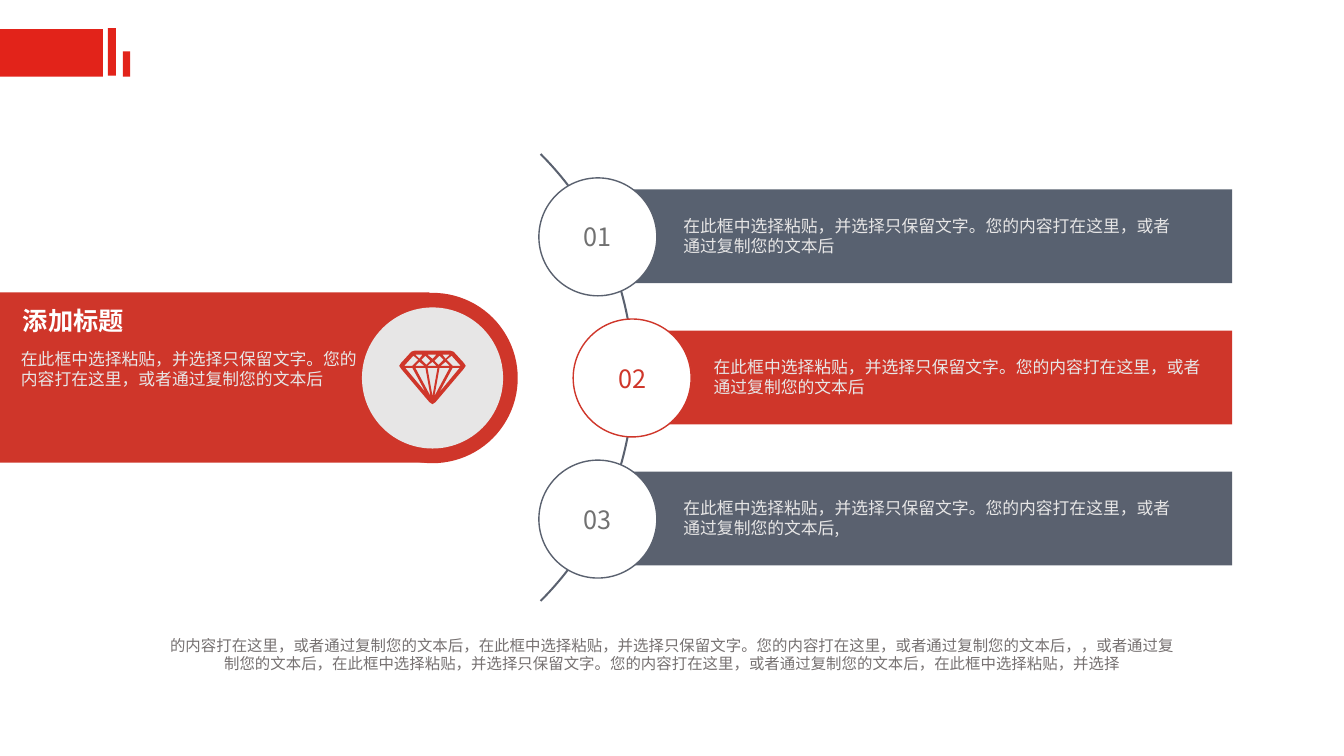
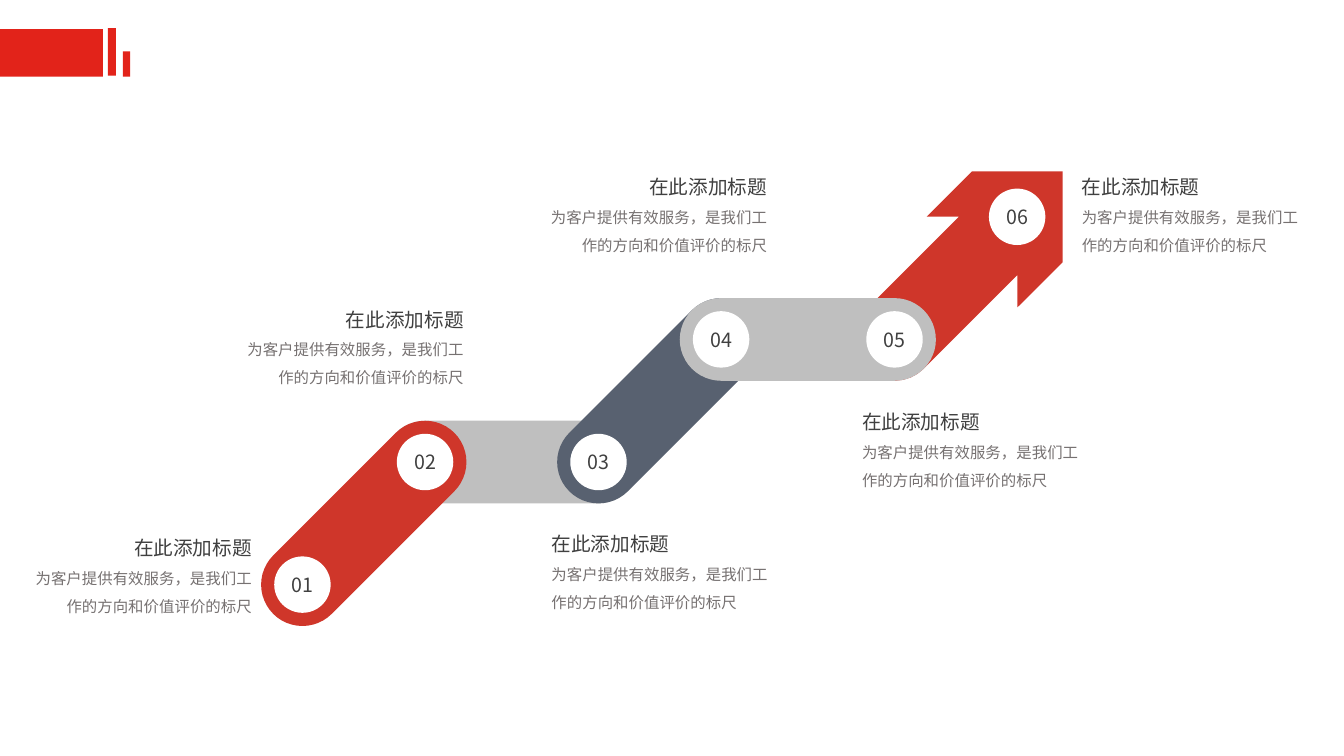
from math import cos, pi, sin, sqrt

from lxml import etree
from pptx import Presentation
from pptx.dml.color import RGBColor
from pptx.enum import shapes, text
from pptx.oxml import ns
from pptx.util import Inches, Pt

BRAND_RED = RGBColor(0xE2, 0x23, 0x1A)
RED = RGBColor(0xCF, 0x36, 0x2A)
SLATE = RGBColor(0x5A, 0x61, 0x6F)
STEEL = RGBColor(0x58, 0x61, 0x70)
SILVER = RGBColor(0xBF, 0xBF, 0xBF)
PALE = RGBColor(0xE7, 0xE6, 0xE6)
WHITE = RGBColor(0xFF, 0xFF, 0xFF)
INK = RGBColor(0x40, 0x40, 0x40)
GREY = RGBColor(0x71, 0x71, 0x71)
WARM_GREY = RGBColor(0x76, 0x71, 0x71)

SHAPE = shapes.MSO_SHAPE
LEFT, CENTER, RIGHT = text.PP_ALIGN.LEFT, text.PP_ALIGN.CENTER, text.PP_ALIGN.RIGHT


class Deck:
    font = "Noto Sans CJK SC"

    def __init__(self):
        self.prs = Presentation()
        self.prs.slide_width, self.prs.slide_height = Inches(13.33), Inches(7.5)
        self.slide = None

    def new_slide(self):
        """Start a blank slide with the red corner mark."""
        self.slide = self.prs.slides.add_slide(self.prs.slide_layouts[6])
        for box in ((1.07, 0.28, 0.08, 0.47), (1.22, 0.51, 0.07, 0.25), (0, 0.29, 1.02, 0.47)):
            self.shape(SHAPE.RECTANGLE, box, BRAND_RED)

    def paint(self, shape, fill, line=None):
        shape.shadow.inherit = False
        shape.fill.solid()
        shape.fill.fore_color.rgb = fill
        if line is None:
            shape.line.fill.background()
        else:
            shape.line.color.rgb = line
            shape.line.width = Pt(1)

    def shape(self, kind, box, fill, line=None, adjustments=(), rotation=0):
        shape = self.slide.shapes.add_shape(kind, *map(Inches, box))
        self.paint(shape, fill, line)
        for i, value in enumerate(adjustments):
            shape.adjustments[i] = value
        shape.rotation = rotation
        return shape

    def circle(self, x, y, diameter, fill, line=None):
        """Draw a circle around its centre."""
        box = (x - diameter / 2, y - diameter / 2, diameter, diameter)
        return self.shape(SHAPE.OVAL, box, fill, line)

    def badge(self, x, y, diameter, number, size, color, line=None):
        """Draw a white circle holding a two-digit number."""
        frame = self.circle(x, y, diameter, WHITE, line).text_frame
        frame.margin_left = frame.margin_right = frame.margin_top = frame.margin_bottom = 0
        frame.vertical_anchor = text.MSO_ANCHOR.MIDDLE
        frame.word_wrap = False
        self.styled_run(frame.paragraphs[0], f"{number:02d}", size, color, CENTER)

    def outline(self, contours, fill):
        """Fill closed contours; inner ones become holes."""
        rings = [[(Inches(x), Inches(y)) for x, y in ring] for ring in contours]
        builder = self.slide.shapes.build_freeform(*rings[0][0])
        for i, ring in enumerate(rings):
            if i:
                builder.move_to(*ring[0])
            builder.add_line_segments(ring[1:], close=True)
        self.paint(builder.convert_to_shape(), fill)

    def styled_run(self, paragraph, words, size, color, align=LEFT, bold=False):
        paragraph.alignment = align
        run = paragraph.add_run()
        run.text = words
        run.font.size, run.font.bold = Pt(size), bold
        run.font.color.rgb = color
        run.font.name = self.font
        east_asian = etree.SubElement(run._r.get_or_add_rPr(), ns.qn("a:ea"))
        east_asian.set("typeface", self.font)

    def text_box(self, box, words, size, color, align=LEFT, bold=False, inset=(0.1, 0.05)):
        frame = self.slide.shapes.add_textbox(*map(Inches, box)).text_frame
        frame.word_wrap = True
        frame.auto_size = text.MSO_AUTO_SIZE.SHAPE_TO_FIT_TEXT
        frame.margin_left = frame.margin_right = Inches(inset[0])
        frame.margin_top = frame.margin_bottom = Inches(inset[1])
        self.styled_run(frame.paragraphs[0], words, size, color, align, bold)
        return frame

    def caption(self, x, y, align):
        frame = self.text_box((x, y, 2.34, 0.83), "在此添加标题", 14, INK, align, inset=(0.07, 0.04))
        body = frame.add_paragraph()
        body.line_spacing, body.space_after = 1.5, Pt(4.5)
        self.styled_run(body, "为客户提供有效服务，是我们工作的方向和价值评价的标尺", 11, WARM_GREY, align)

    def diamond(self):
        """Draw the gem icon: a rim with its facets cut out."""
        axis = 4.29

        def mirror(ring):
            return [(2 * axis - x, y) for x, y in ring]

        half_rim = [(axis, 3.48), (4.11, 3.48), (4.08, 3.49), (3.98, 3.6), (3.96, 3.63),
                    (3.98, 3.66), (4.26, 3.99), (axis, 4.01)]
        left_facets = [
            [(4.1, 3.53), (4.15, 3.57), (4.09, 3.63), (4.01, 3.63)],
            [(4.22, 3.89), (4.02, 3.65), (4.09, 3.65)],
            [(4.22, 3.65), (4.27, 3.93), (4.12, 3.65)],
            [(4.16, 3.59), (4.21, 3.63), (4.12, 3.63)],
            [(4.16, 3.56), (4.12, 3.52), (4.19, 3.52)],
            [(4.23, 3.62), (4.18, 3.57), (4.22, 3.53), (4.27, 3.58)],
        ]
        middle_facets = [
            [(4.29, 3.56), (4.24, 3.52), (4.33, 3.52)],
            [(4.34, 3.65), (4.29, 3.93), (4.24, 3.65)],
            [(4.33, 3.63), (4.24, 3.63), (4.29, 3.59)],
        ]
        rim = half_rim + mirror(half_rim)[-2:0:-1]
        self.outline([rim, *left_facets, *map(mirror, left_facets), *middle_facets], RED)


def build_topics(deck):
    deck.new_slide()
    pasted = "在此框中选择粘贴，并选择只保留文字。您的内容打在这里，或者通过复制您的文本后"
    middle = 3.75

    deck.shape(SHAPE.RECTANGLE, (0, 2.9, 4.26, 1.69), RED)
    deck.circle(4.29, middle, 1.69, RED)
    deck.circle(4.29, middle, 1.4, PALE)
    deck.diamond()
    deck.text_box((0.13, 2.98, 1.6, 0.4), "添加标题", 18, WHITE, bold=True)
    deck.text_box((0.11, 3.41, 3.67, 0.5), pasted, 12, PALE)

    orbit = 6.29
    deck.shape(SHAPE.BLOCK_ARC, (0, 0.6, orbit, orbit), SLATE,
               adjustments=(189, 27, 0.02 / orbit))
    topics = [
        (5.93, 6.68, STEEL, SLATE, GREY, pasted),
        (6.27, 6.98, RED, RED, RED, pasted),
        (5.93, 6.68, SLATE, SLATE, GREY, pasted + ","),
    ]
    for i, (x, text_x, bar, ring, digits, words) in enumerate(topics):
        y = middle + (i - 1) * 1.4
        deck.shape(SHAPE.RECTANGLE, (x, y - 0.47, 12.22 - x, 0.93), bar)
        deck.badge(x, y, 1.17, i + 1, 18, digits, ring)
        deck.text_box((text_x, y - 0.26, 5.12, 0.5), words, 12, PALE)

    summary = ("的内容打在这里，或者通过复制您的文本后，在此框中选择粘贴，并选择只保留文字。"
               "您的内容打在这里，或者通过复制您的文本后，，或者通过复制您的文本后，"
               "在此框中选择粘贴，并选择只保留文字。您的内容打在这里，或者通过复制您的文本后，"
               "在此框中选择粘贴，并选择")
    deck.text_box((1.61, 6.27, 10.12, 0.45), summary, 11, WARM_GREY, CENTER, inset=(0.07, 0.04))


def build_steps(deck):
    deck.new_slide()
    reach, thickness = 1.72, 0.82
    rise = reach / sqrt(2)

    # Steps climb diagonally and run level in turn.
    nodes = [(3.0, 5.8)]
    for i in range(5):
        x, y = nodes[-1]
        nodes.append((x + reach, y) if i % 2 else (x + rise, y - rise))

    tail_x, tail_y = nodes[4]
    tail = [(tail_x + thickness / 2 * cos(a), tail_y + thickness / 2 * sin(a))
            for a in (pi / 4 + pi * k / 16 for k in range(17))]
    head = [(9.51, 2.15), (9.19, 2.15), (9.64, 1.7), (10.54, 1.7), (10.54, 2.6),
            (10.09, 3.05), (10.09, 2.73)]
    deck.outline([head + tail], RED)

    for start, fill in ((1, SILVER), (0, RED), (2, STEEL), (3, SILVER)):
        (x1, y1), (x2, y2) = nodes[start:start + 2]
        length = reach + thickness
        box = ((x1 + x2 - length) / 2, (y1 + y2 - thickness) / 2, length, thickness)
        deck.shape(SHAPE.ROUNDED_RECTANGLE, box, fill, adjustments=(0.5,),
                   rotation=0 if start % 2 else 315)

    for number, (x, y) in enumerate(nodes, 1):
        deck.badge(x, y, 0.56, number, 14, INK)
    for x, y, align in ((0.23, 5.28, RIGHT), (2.33, 3.01, RIGHT), (5.4, 5.24, LEFT),
                        (5.34, 1.7, RIGHT), (8.48, 4.03, LEFT), (10.66, 1.7, LEFT)):
        deck.caption(x, y, align)


def main():
    deck = Deck()
    build_topics(deck)
    build_steps(deck)
    deck.prs.save("out.pptx")


if __name__ == "__main__":
    main()
